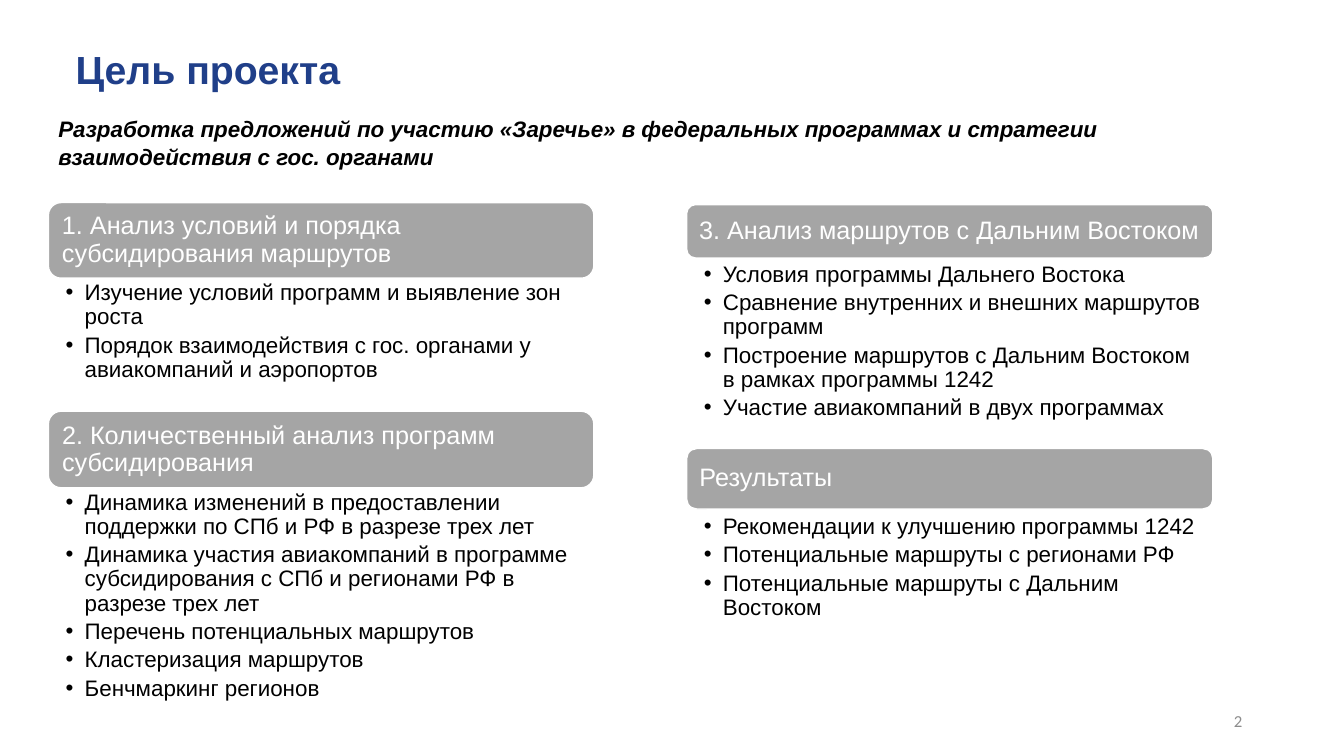
from lxml.etree import SubElement
from pptx import Presentation
from pptx.dml.color import RGBColor
from pptx.enum.shapes import MSO_SHAPE as SHAPE
from pptx.enum.text import MSO_ANCHOR as ANCHOR, MSO_AUTO_SIZE as AUTO, PP_ALIGN as ALIGN
from pptx.oxml.ns import qn
from pptx.util import Inches, Pt

COLORS = {"title": "203F89", "text": "000000", "bar": "A5A5A5", "white": "FFFFFF", "number": "8C8C8C"}
LEFT, RIGHT = (0.48, 5.41), (6.81, 5.22)
SECTIONS = [
    (LEFT, 2.01, 0.75, 2.77, 1.18, "1. Анализ условий и порядка субсидирования маршрутов", [
        "Изучение условий программ и выявление зон роста",
        "Порядок взаимодействия с гос. органами у авиакомпаний и аэропортов"]),
    (LEFT, 4.08, 0.76, 4.85, 2.1, "2. Количественный анализ программ субсидирования", [
        "Динамика изменений в предоставлении поддержки по СПб и РФ в разрезе трех лет",
        "Динамика участия авиакомпаний в программе субсидирования с СПб и регионами РФ в разрезе трех лет",
        "Перечень потенциальных маршрутов",
        "Кластеризация маршрутов",
        "Бенчмаркинг регионов"]),
    (RIGHT, 2.03, 0.53, 2.59, 1.62, "3. Анализ маршрутов с Дальним Востоком", [
        "Условия программы Дальнего Востока",
        "Сравнение внутренних и внешних маршрутов программ",
        "Построение маршрутов с Дальним Востоком в рамках программы 1242",
        "Участие авиакомпаний в двух программах"]),
    (RIGHT, 4.45, 0.6, 5.09, 1.18, "Результаты", [
        "Рекомендации к улучшению программы 1242",
        "Потенциальные маршруты с регионами РФ",
        "Потенциальные маршруты с Дальним Востоком"]),
]


class Deck:
    """Holds the text style and the current slide, and adds elements to it."""

    font = "Arial"

    def __init__(self, prs):
        self.s = prs.slides.add_slide(prs.slide_layouts.get_by_name("Comparison"))
        self.bodies = iter([sp for sp in self.s.placeholders if sp.placeholder_format.idx > 0])

    def place(self, sp, *box):
        sp.left, sp.top, sp.width, sp.height = map(Inches, box)

    def set_text(self, sp, text, size, color, anchor=ANCHOR.TOP, align=ALIGN.LEFT, spacing=1.0,
                 after=0, insets=(0.1, 0.05, 0.1, 0.05), bold=False, italic=False, font=None):
        tf = sp.text_frame
        tf.text = text
        tf.word_wrap, tf.auto_size, tf.vertical_anchor = True, AUTO.NONE, anchor
        tf.margin_left, tf.margin_top, tf.margin_right, tf.margin_bottom = map(Inches, insets)
        for p in tf.paragraphs:
            p.alignment, p.line_spacing = align, spacing
            p.space_before, p.space_after = Pt(0), Pt(after)
            for r in p.runs:
                r.font.name, r.font.size = font or self.font, Pt(size)
                r.font.bold, r.font.italic = bold, italic
                r.font.color.rgb = RGBColor.from_string(COLORS[color])

    def title(self, text, *box):
        sp = self.s.shapes.title
        self.place(sp, *box)
        self.set_text(sp, text, 28, "title", ANCHOR.MIDDLE, bold=True)

    def text(self, text, box, size, color, **style):
        sp = self.s.shapes.add_textbox(*map(Inches, box))
        self.set_text(sp, text, size, color, **style)

    def heading(self, text, *box):
        sp = self.s.shapes.add_shape(SHAPE.ROUNDED_RECTANGLE, *map(Inches, box))
        sp.shadow.inherit = False
        sp.fill.solid()
        sp.fill.fore_color.rgb = RGBColor.from_string(COLORS["bar"])
        sp.line.color.rgb = RGBColor.from_string(COLORS["white"])
        sp.line.width = Pt(1)
        self.set_text(sp, text, 18, "white", ANCHOR.MIDDLE, spacing=0.9, insets=(0.1, 0.07, 0.1, 0.07))

    def bullets(self, items, *box):
        sp = next(self.bodies)
        self.place(sp, *box)
        self.set_text(sp, "\n".join(items), 16, "text", spacing=0.9, after=3,
                      insets=(0.17, 0.02, 0.12, 0.02))
        for p in sp.text_frame.paragraphs:
            pPr = p._p.get_or_add_pPr()
            pPr.set("marL", str(Inches(0.19)))
            pPr.set("indent", str(-Inches(0.19)))
            SubElement(pPr, qn("a:buFont")).set("typeface", self.font)
            SubElement(pPr, qn("a:buChar")).set("char", "•")


def main():
    prs = Presentation()
    prs.slide_width, prs.slide_height = Inches(13.33), Inches(7.5)
    deck = Deck(prs)
    deck.title("Цель проекта", 0.65, 0.21, 8.08, 0.95)
    deck.text("Разработка предложений по участию «Заречье» в федеральных программах "
              "и стратегии взаимодействия с гос. органами", (0.48, 1.07, 12.38, 0.66),
              16, "text", spacing=1.07, after=8, bold=True, italic=True)
    for (left, width), top, height, list_top, list_height, name, items in SECTIONS:
        deck.heading(name, left, top, width, height)
        deck.bullets(items, left, list_top, width, list_height)
    deck.text("2", (9.42, 6.95, 3, 0.4), 12, "number", anchor=ANCHOR.MIDDLE,
              align=ALIGN.RIGHT, font="Calibri")
    prs.save("out.pptx")


if __name__ == "__main__":
    main()
